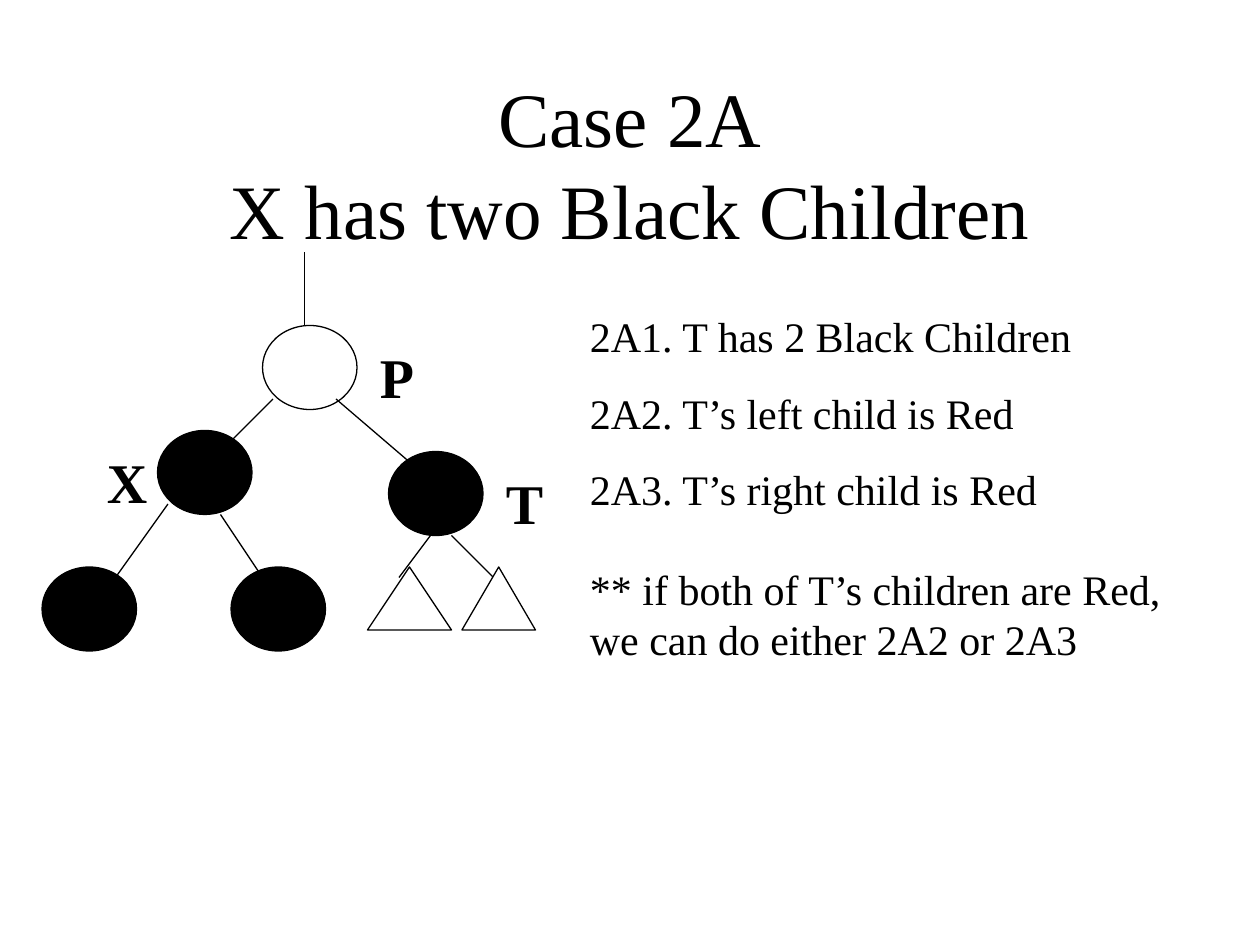
from lxml import etree
from pptx import Presentation
from pptx.dml.color import RGBColor
from pptx.enum.shapes import MSO_CONNECTOR as Link, MSO_SHAPE as Preset
from pptx.enum.text import MSO_ANCHOR as Anchor, PP_ALIGN as Align
from pptx.oxml.ns import qn
from pptx.util import Inches, Pt

COLUMNS, ROWS = 120, 90
BLACK, WHITE = "000000", "FFFFFF"


def color(hex_code):
    return RGBColor.from_string(hex_code)


class TreeSlide:
    """Draws on one slide; every length is in columns and rows of the grid."""

    font = "Times New Roman"
    line_width = Pt(0.75)
    node_size = (9, 8)

    def __init__(self, deck):
        self.slide = deck.slides.add_slide(deck.slide_layouts[6])
        self.column = deck.slide_width / COLUMNS
        self.row = deck.slide_height / ROWS

    def place(self, across, down):
        return round(across * self.column), round(down * self.row)

    def outline(self, line):
        line.color.rgb = color(BLACK)
        line.width = self.line_width

    def shape(self, preset, at, size, fill):
        shape = self.slide.shapes.add_shape(preset, *self.place(*at), *self.place(*size))
        shape.shadow.inherit = False
        shape.fill.solid()
        shape.fill.fore_color.rgb = color(fill)
        self.outline(shape.line)

    def node(self, at, fill=BLACK):
        self.shape(Preset.OVAL, at, self.node_size, fill)

    def subtree(self, at, width):
        self.shape(Preset.ISOSCELES_TRIANGLE, at, (width, 6), WHITE)

    def edge(self, start, end):
        edge = self.slide.shapes.add_connector(
            Link.STRAIGHT, *self.place(*start), *self.place(*end))
        self.outline(edge.line)
        etree.SubElement(edge._element.spPr, qn("a:effectLst"))

    def text(self, at, size, paragraphs, points, bold=False,
             align=Align.LEFT, anchor=Anchor.TOP):
        """Adds (wording, space before) pairs as the paragraphs of one box."""
        box = self.slide.shapes.add_textbox(*self.place(*at), *self.place(*size))
        frame = box.text_frame
        frame.word_wrap = True
        frame.vertical_anchor = anchor
        frame.text = "\n".join(wording for wording, _ in paragraphs)
        for paragraph, (_, space) in zip(frame.paragraphs, paragraphs):
            paragraph.alignment = align
            paragraph.space_before = Pt(space)
            for run in paragraph.runs:
                run.font.name = self.font
                run.font.size = Pt(points)
                run.font.bold = bold
                run.font.color.rgb = color(BLACK)

    def label(self, at, letter):
        self.text(at, (6, 7.7), [(letter, 20)], 32, bold=True)


def main():
    deck = Presentation()
    deck.slide_width, deck.slide_height = Inches(10), Inches(7.5)
    tree = TreeSlide(deck)

    tree.text((9, 8), (102, 15), [("Case 2A\vX has two Black Children", 0)], 44,
              align=Align.CENTER, anchor=Anchor.MIDDLE)

    tree.node((25, 31), WHITE)
    for black_node in [(15, 41), (37, 43), (4, 54), (22, 54)]:
        tree.node(black_node)

    for start, end in [
        ((29, 31), (29, 24)),
        ((26, 38), (22, 42)), ((32, 38), (39, 44)),
        ((16, 48), (11, 55)), ((21, 49), (25, 55)),
        ((41, 51), (38, 55)), ((43, 51), (47, 55)),
    ]:
        tree.edge(start, end)

    tree.subtree((35, 54), 8)
    tree.subtree((44, 54), 7)

    for letter, at in {"P": (35, 32), "T": (47, 44), "X": (9, 42)}.items():
        tree.label(at, letter)

    tree.text((55, 29), (59, 35), [
        ("2A1. T has 2 Black Children", 15),
        ("2A2. T’s left child is Red", 15),
        ("2A3. T’s right child is Red", 15),
        ("** if both of T’s children are Red, we can do either 2A2 or 2A3", 28),
    ], 24)

    deck.save("out.pptx")


if __name__ == "__main__":
    main()
